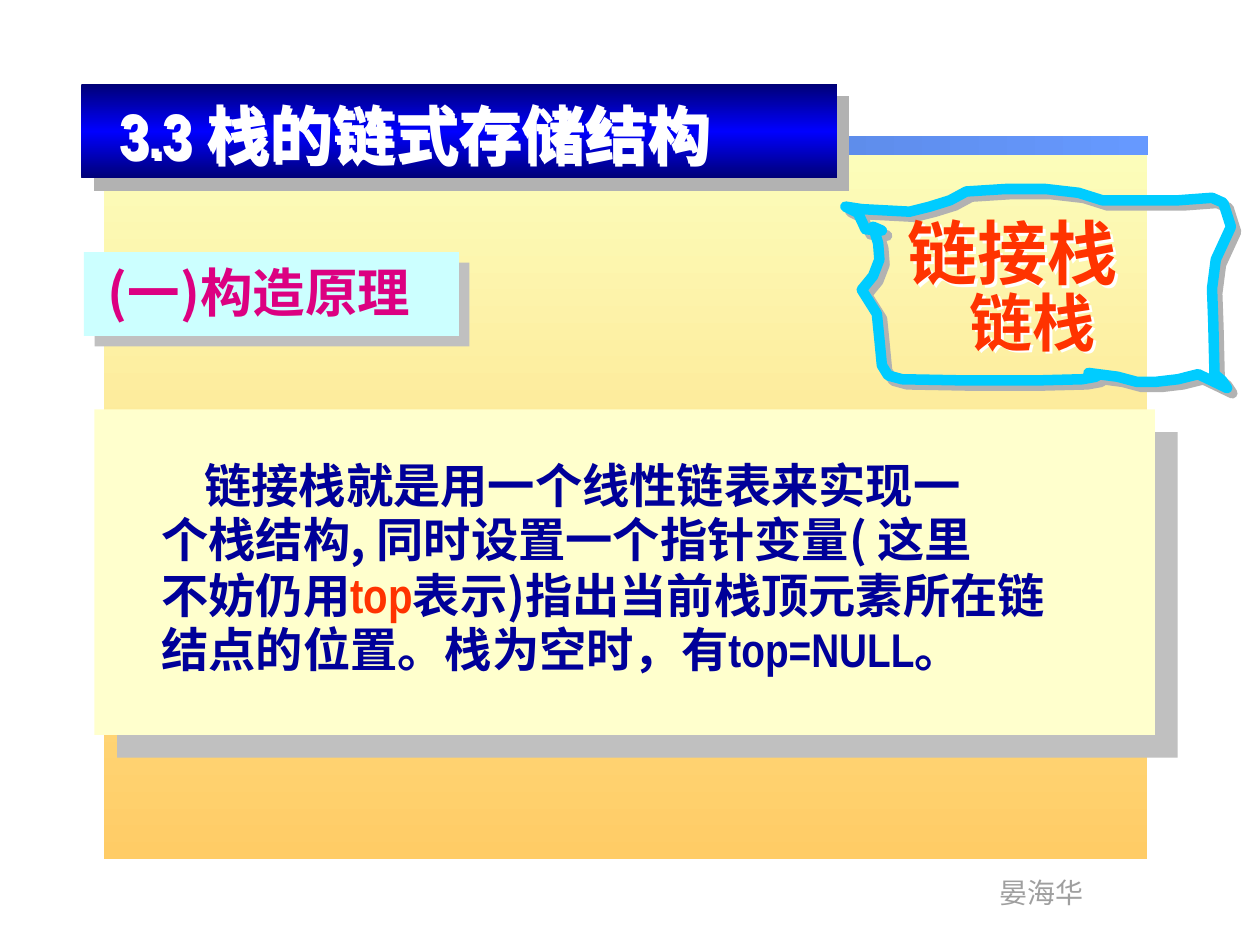
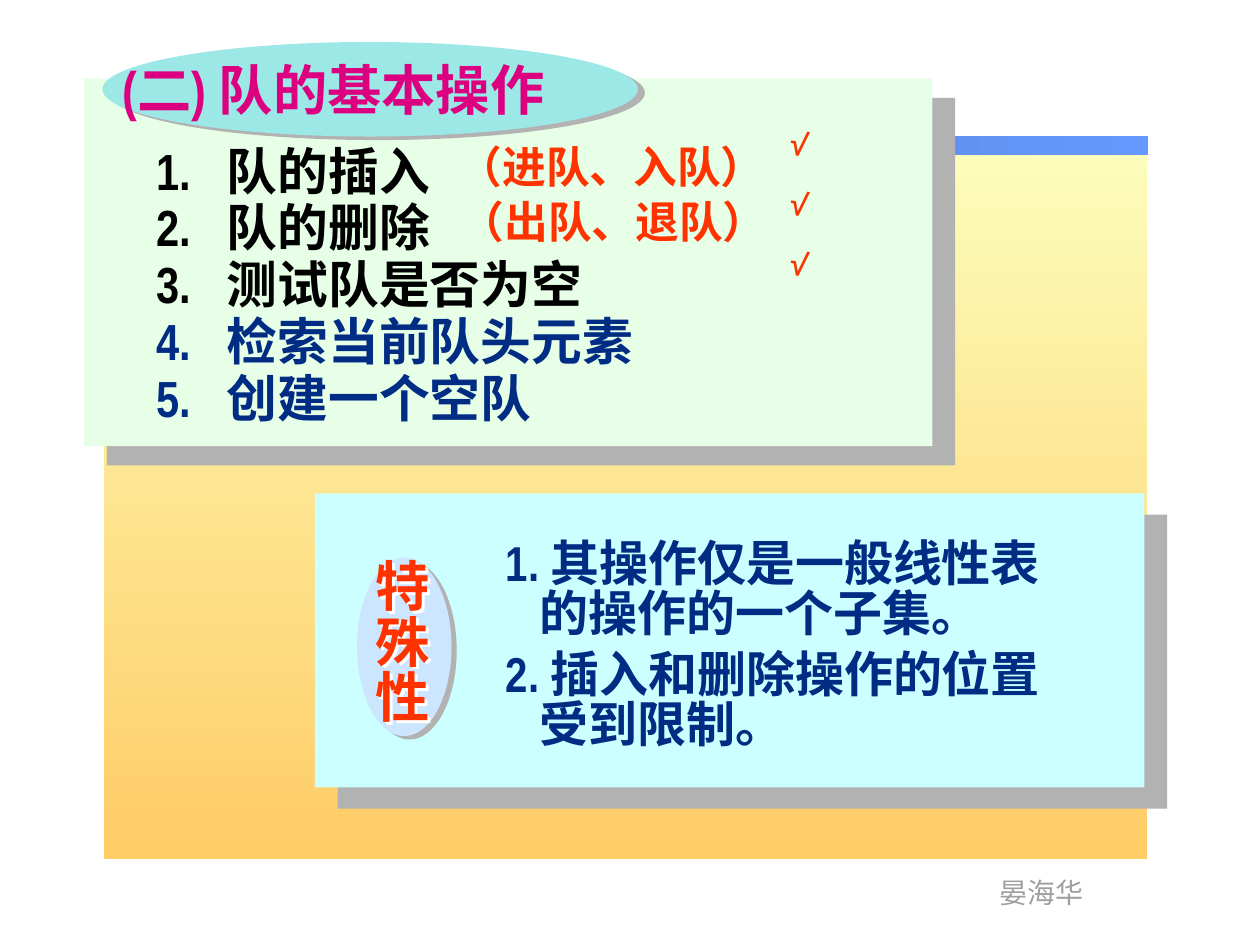
import pptx
import pptx.dml.color
import pptx.enum.shapes
import pptx.enum.text
import pptx.oxml
import pptx.oxml.ns
import pptx.util

COLORS = {
    "navy": "000099", "ink": "002C84", "black": "000000", "white": "FFFFFF",
    "red": "FF3300", "magenta": "DC0081", "footer": "9F9F9F",
    "cream": "FFFFCD", "aqua": "CCFFFF", "mint": "E7FFE7", "teal": "9CE8E6",
    "pale_blue": "CDE6FF", "cyan": "00CCFF", "gray": "B2B2B2", "silver": "C0C0C0",
}
BACKDROP_STOPS = ["FCFEBC", "FFCC66"]
BAND_STOPS = ["496DB6", "6699FF"]
HEADING_STOPS = ["000076", "0000FF", "000076"]
LATIN_FONT, CHINESE_FONT = "Arial Narrow", "Noto Sans CJK SC"
SHAPES = pptx.enum.shapes.MSO_SHAPE
NAMESPACE = pptx.oxml.ns.nsdecls("a")
SHADOW_XML = (
    f'<a:effectLst {NAMESPACE}><a:outerShdw dist="{{:.0f}}" dir="{{}}" algn="ctr"'
    ' rotWithShape="0"><a:srgbClr val="{}"/></a:outerShdw></a:effectLst>')

presentation = pptx.Presentation()
presentation.slide_width = pptx.util.Inches(10)
presentation.slide_height = pptx.util.Inches(7.5)
# Boxes are (column, row, columns, rows) on a grid of 120 by 90 cells
CELL = presentation.slide_width / 120


def panel(slide, kind, box, fill, angle=90, shadow=None):
    """Add a borderless shape; fill is one color or gradient stops, shadow is (color, points, degrees)."""
    shape = slide.shapes.add_shape(kind, *[round(length * CELL) for length in box])
    properties = shape.element.spPr
    if isinstance(fill, str):
        shape.fill.solid()
        shape.fill.fore_color.rgb = pptx.dml.color.RGBColor.from_string(fill)
    else:
        stops = "".join(
            f'<a:gs pos="{100000 * i // (len(fill) - 1)}"><a:srgbClr val="{color}"/></a:gs>'
            for i, color in enumerate(fill))
        properties.insert(2, pptx.oxml.parse_xml(
            f'<a:gradFill {NAMESPACE} rotWithShape="1"><a:gsLst>{stops}</a:gsLst>'
            f'<a:lin ang="{angle * 60000}" scaled="0"/></a:gradFill>'))
    shape.line.fill.background()
    if shadow:
        color, distance, direction = shadow
        properties.append(pptx.oxml.parse_xml(
            SHADOW_XML.format(distance * 12700, direction * 60000, color)))
    else:
        shape.shadow.inherit = False
    return shape


def write(slide, box, paragraphs, color="black", size=28, bold=True, latin=LATIN_FONT,
          spacing=1.0, wrap=True, indents=(), hanging=0, inset=0.1, rotation=0, shadow=None,
          title=False):
    """Write paragraphs, each a string or a list of strings and (text, color, size) runs.

    Such runs use the narrow Latin font. indents holds first-line indents per paragraph
    and hanging a hanging indent, in inches.
    """
    left, top, width, height = [round(length * CELL) for length in box]
    if title:
        shape = slide.shapes.title
        slide.shapes.element.append(shape.element)
        shape.left, shape.top, shape.width, shape.height = left, top, width, height
    else:
        shape = slide.shapes.add_textbox(left, top, width, height)
    shape.rotation = rotation
    if shadow:
        shape.element.spPr.append(pptx.oxml.parse_xml(
            SHADOW_XML.format(2 * 12700, 45 * 60000, COLORS[shadow])))
    frame = shape.text_frame
    frame.word_wrap = wrap
    frame.auto_size = pptx.enum.text.MSO_AUTO_SIZE.NONE
    frame.vertical_anchor = pptx.enum.text.MSO_ANCHOR.TOP
    frame.margin_left = pptx.util.Inches(inset)
    for i, content in enumerate(paragraphs):
        paragraph = frame.add_paragraph() if i else frame.paragraphs[0]
        paragraph.alignment = pptx.enum.text.PP_ALIGN.LEFT
        paragraph.line_spacing = spacing
        indent = indents[i] if indents else -hanging
        paragraph_properties = paragraph._p.get_or_add_pPr()
        paragraph_properties.set("marL", str(pptx.util.Inches(hanging)))
        paragraph_properties.set("indent", str(pptx.util.Inches(indent)))
        for piece in [content] if isinstance(content, str) else content:
            plain = isinstance(piece, str)
            text, run_color, run_size = (piece, color, size) if plain else piece
            run = paragraph.add_run()
            run.text = text
            run.font.size = pptx.util.Pt(run_size)
            run.font.bold = bold
            run.font.color.rgb = pptx.dml.color.RGBColor.from_string(COLORS[run_color])
            run.font.name = latin if plain else LATIN_FONT
            run.font._element.append(pptx.oxml.parse_xml(
                f'<a:ea {NAMESPACE} typeface="{CHINESE_FONT}"/>'))
    return shape


layout = presentation.slide_layouts[5]
stack_slide = presentation.slides.add_slide(layout)
queue_slide = presentation.slides.add_slide(layout)

# Shared backdrop, band and footer, moved to the layout
shared_shapes = [
    panel(stack_slide, SHAPES.RECTANGLE, (9.95, 13.2, 99.3, 68.6), BACKDROP_STOPS),
    panel(stack_slide, SHAPES.RECTANGLE, (10, 12.95, 99.3, 1.8), BAND_STOPS, angle=0),
    write(stack_slide, (94.05, 82.8, 10.4, 4.4), ["晏海华"], color="footer", size=16,
          bold=False, wrap=False),
]
for shape in shared_shapes:
    layout.shapes.element.append(shape.element)

# Slide 1: linked stack
panel(stack_slide, SHAPES.RECTANGLE, (9, 39, 101, 31), COLORS["cream"],
      shadow=(COLORS["silver"], 18.4, 45))
write(stack_slide, (14.2, 43.3, 97, 22), [
    "链接栈就是用一个线性链表来实现一",
    "个栈结构, 同时设置一个指针变量( 这里",
    ["不妨仍用", ("top", "red", 28), "表示)指出当前栈顶元素所在链"],
    ["结点的位置。栈为空时，有", ("top=NULL", "navy", 27), "。"],
], color="navy", size=27, latin=CHINESE_FONT, spacing=0.95, indents=(0.34, 0, 0, 0))

panel(stack_slide, SHAPES.RECTANGLE, (7.75, 8, 72, 9), HEADING_STOPS,
      shadow=(COLORS["gray"], 9.9, 45))
write(stack_slide, (8.9, 8.5, 68.4, 8.4), ["3.3 栈的链式存储结构"], color="white", size=36,
      inset=0.21, shadow="white", title=True)

panel(stack_slide, SHAPES.RECTANGLE, (8, 24, 35.7, 8), COLORS["aqua"],
      shadow=(COLORS["silver"], 8.5, 45))
write(stack_slide, (9.1, 24.2, 36.7, 7.3), ["(一)构造原理"], color="magenta", size=30,
      latin=CHINESE_FONT)

# Hand-drawn frame, in hundredths of an inch
FRAME_POINTS = [
    (693, 180), (697, 193), (698, 206), (693, 219), (684, 230), (696, 249),
    (698, 269), (700, 290), (705, 298), (716, 301), (768, 302), (821, 302),
    (859, 301), (870, 299), (865, 297), (864, 296), (887, 299), (902, 303),
    (918, 303), (935, 301), (951, 297), (974, 308), (970, 302), (964, 297),
    (963, 256), (962, 229), (965, 206), (977, 180), (971, 161), (962, 157),
    (935, 159), (875, 159), (856, 153), (830, 150), (798, 150), (767, 152),
    (754, 159), (738, 164), (722, 168), (684, 166), (671, 164), (681, 169),
    (687, 182), (700, 183),
]
builder = stack_slide.shapes.build_freeform(*FRAME_POINTS[0], scale=pptx.util.Inches(0.01))
builder.add_line_segments(FRAME_POINTS[1:], close=True)
frame_shape = builder.convert_to_shape()
frame_shape.fill.background()
frame_shape.line.color.rgb = pptx.dml.color.RGBColor.from_string(COLORS["cyan"])
frame_shape.line.width = pptx.util.Pt(6)
frame_properties = frame_shape.element.spPr
frame_properties.find(pptx.oxml.ns.qn("a:ln")).append(
    pptx.oxml.parse_xml(f"<a:round {NAMESPACE}/>"))
frame_properties.append(pptx.oxml.parse_xml(
    SHADOW_XML.format(4.2 * 12700, 45 * 60000, COLORS["gray"])))
write(stack_slide, (85.3, 19.4, 32.4, 9.2), ["链接栈"], color="red", size=40, shadow="white")
write(stack_slide, (91.2, 26.4, 17, 8.4), ["链栈"], color="red", size=36, shadow="white")

# Slide 2: queue operations
panel(queue_slide, SHAPES.RECTANGLE, (8, 7.5, 80.8, 35), COLORS["mint"],
      shadow=(COLORS["gray"], 17, 40))
panel(queue_slide, SHAPES.OVAL, (9.75, 4, 51, 9), COLORS["teal"],
      shadow=(COLORS["gray"], 4.5, 27))
write(queue_slide, (10.5, 4.8, 51, 7.4), ["(二) 队的基本操作"], color="magenta", size=31,
      title=True)

OPERATIONS = [
    ("队的插入", "black"), ("队的删除", "black"), ("测试队是否为空", "black"),
    ("检索当前队头元素", "ink"), ("创建一个空队", "ink"),
]
for i, (operation, color) in enumerate(OPERATIONS):
    write(queue_slide, (13.7, 12.7 + 5.4 * i, 60, 7), [f"{i + 1}.\t{operation}"],
          color=color, size=29, hanging=0.56)
for i, synonyms in enumerate(["（进队、入队）", "（出队、退队）"]):
    write(queue_slide, (42.5 + 0.2 * i, 12.7 + 5.3 * i, 32, 6.2), [synonyms], color="red", size=25)
for i in range(3):
    write(queue_slide, (73.9, 11.6 + 5.7 * i, 8.2, 7.6), ["√"], color="red", size=18, rotation=9.1)

panel(queue_slide, SHAPES.RECTANGLE, (30, 47, 79, 28), COLORS["aqua"],
      shadow=(COLORS["gray"], 17.7, 43))
panel(queue_slide, SHAPES.OVAL, (34, 53.1, 9, 17), COLORS["pale_blue"],
      shadow=(COLORS["gray"], 3.6, 34))
write(queue_slide, (34.6, 53, 7.6, 17), list("特殊性"), color="red", size=31, spacing=0.85,
      wrap=False, shadow="white")
FEATURES = [
    ["1. 其操作仅是一般线性表", "的操作的一个子集。"],
    ["2. 插入和删除操作的位置", "受到限制。"],
]
for i, lines in enumerate(FEATURES):
    write(queue_slide, (47, 51 + 10.55 * i, 63, 10.8), lines, color="ink", size=28,
          spacing=0.85, indents=(0, 0.27))

presentation.save("out.pptx")
